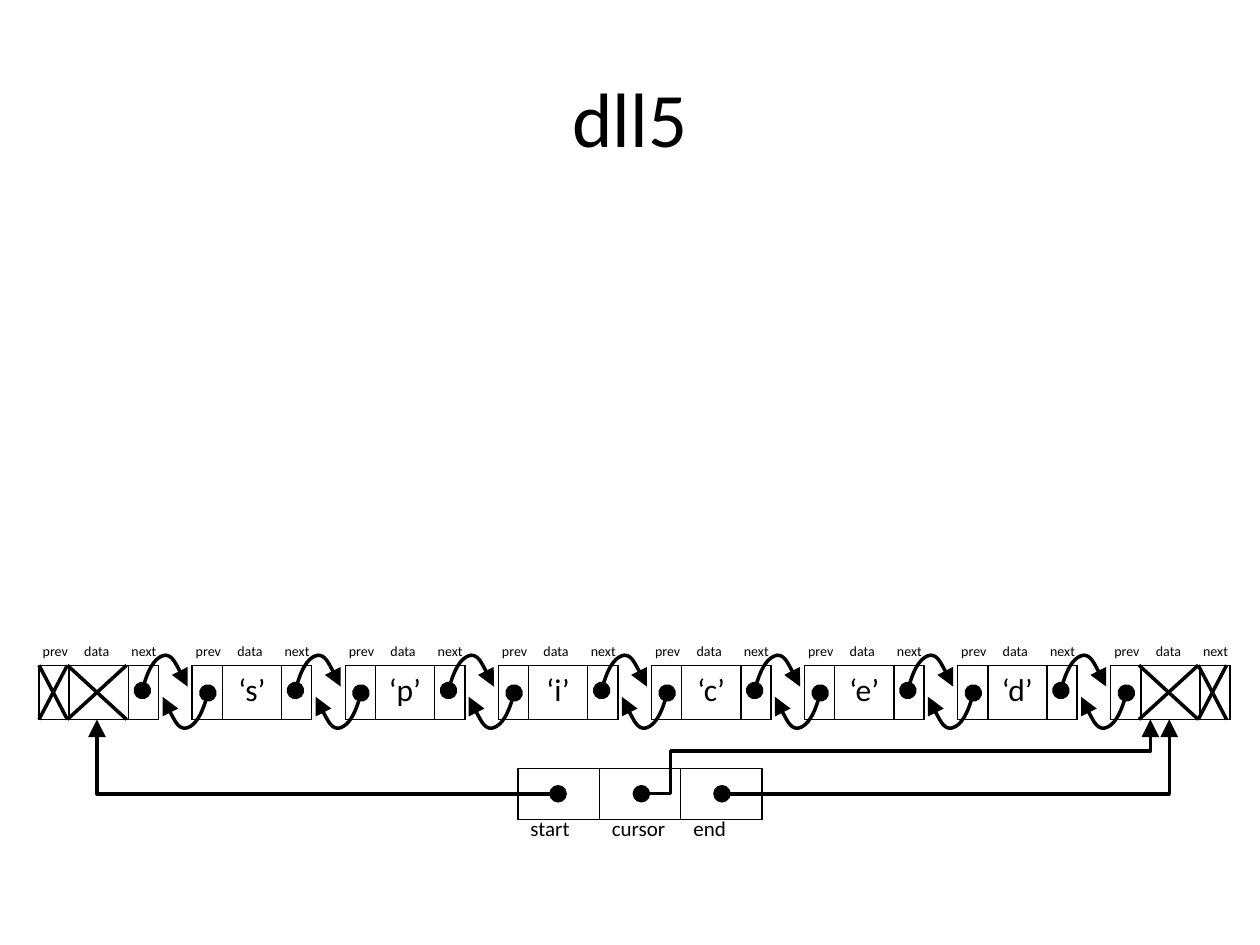
"""Build the dll5 slide: a doubly linked list with sentinels and start, cursor and end links."""
from lxml import etree
from pptx import Presentation
from pptx.dml.color import RGBColor
from pptx.enum.shapes import MSO_CONNECTOR
from pptx.enum.text import MSO_ANCHOR, PP_ALIGN
from pptx.oxml.ns import qn
from pptx.util import Inches, Pt

STRAIGHT, ELBOW = MSO_CONNECTOR.STRAIGHT, MSO_CONNECTOR.ELBOW
LEFT, CENTER = PP_ALIGN.LEFT, PP_ALIGN.CENTER
TOP, MIDDLE = MSO_ANCHOR.TOP, MSO_ANCHOR.MIDDLE
PLAIN_STYLE = "{2D5ABB26-0587-4C30-8999-92F81FD0307C}"

THEME = {
    "font": "Calibri",
    "ink": RGBColor(0, 0, 0),
    "paper": RGBColor(255, 255, 255),
    "title": Pt(44),
    "letter": Pt(18),
    "link": Pt(12),
    "field": Pt(8),
    "stroke": Pt(2),
    "border": Pt(1),
}

UNIT = Inches(0.01)
COLUMNS, ROWS = 1000, 750
NODE_LEFT, NODE_TOP, NODE_HEIGHT, NODE_PITCH = 31, 528, 43, 121.5
NODE_BOTTOM = NODE_TOP + NODE_HEIGHT
FIELD_WIDTHS = [22.5, 47, 22.5]
FIELD_EDGES = [0, 22.5, 69.5, 92]
FIELD_LABELS = {"prev": -7, "data": 26, "next": 63.5}
LETTERS = ["", "‘s’", "‘p’", "‘i’", "‘c’", "‘e’", "‘d’", ""]
NODE_LEFTS = [NODE_LEFT + NODE_PITCH * n for n in range(len(LETTERS))]
LINK_LEFT, LINK_TOP, LINK_HEIGHT, LINK_WIDTHS = 411, 610, 40, [194 / 3] * 3
ARC = [(5, -20), (12, -27), (18, -28), (24, -28), (33, -10), (36, -3)]

deck = Presentation()
deck.slide_width, deck.slide_height = COLUMNS * UNIT, ROWS * UNIT
slide = deck.slides.add_slide(deck.slide_layouts[6])
shapes = slide.shapes


def add_record(left, top, widths, height, words, size, align, boxed):
    frame = shapes.add_table(1, len(widths), *(round(v * UNIT) for v in (left, top, sum(widths), height)))
    record = frame.table
    for name, value in {"first_row": False, "horz_banding": False}.items():
        setattr(record, name, value)
    record._tbl.tblPr[0].text = PLAIN_STYLE
    for column, width in zip(record.columns, widths):
        column.width = round(width * UNIT)
    for cell, word in zip(record.rows[0].cells, words):
        paragraph = cell.text_frame.paragraphs[0]
        paragraph.alignment = align
        paragraph.font.size = size
        if word:
            run = paragraph.add_run()
            run.text = word
            for name, value in {"name": THEME["font"], "size": size}.items():
                setattr(run.font, name, value)
            run.font.color.rgb = THEME["ink"]
        if not boxed:
            cell.fill.background()
            continue
        cell_format = cell._tc.get_or_add_tcPr()
        for side in ("lnL", "lnR", "lnT", "lnB"):
            border = etree.SubElement(cell_format, qn(f"a:{side}"), w=str(THEME["border"]))
            ink = etree.SubElement(border, qn("a:solidFill"))
            etree.SubElement(ink, qn("a:srgbClr"), val=str(THEME["ink"]))
        cell.fill.solid()
        cell.fill.fore_color.rgb = THEME["paper"]


def draw_stroke(stroke, head=None, tail=None):
    stroke.line.color.rgb = THEME["ink"]
    stroke.line.width = THEME["stroke"]
    outline = stroke._element.spPr.find(qn("a:ln"))
    for tag, tip in (("a:headEnd", head), ("a:tailEnd", tail)):
        if tip:
            etree.SubElement(outline, qn(tag), type=tip, w="lg", len="lg")
    etree.SubElement(stroke._element.spPr, qn("a:effectLst"))


add_record(LINK_LEFT, LINK_TOP, LINK_WIDTHS, LINK_HEIGHT, [""] * 3, THEME["letter"], LEFT, True)
captions = [("dll5", 50, 30, 900, 125, THEME["title"], CENTER, MIDDLE, True)]
for node_left, letter in zip(NODE_LEFTS, LETTERS):
    add_record(node_left, NODE_TOP, FIELD_WIDTHS, NODE_HEIGHT, ["", letter, ""], THEME["letter"], CENTER, True)
    for label, offset in FIELD_LABELS.items():
        captions.append((label, node_left + offset, 505, 41, 24, THEME["field"], LEFT, TOP, False))

for words, left, top, width, height, size, align, anchor, wrap in captions:
    caption = shapes.add_textbox(*(round(v * UNIT) for v in (left, top, width, height)))
    for name, value in {"word_wrap": wrap, "vertical_anchor": anchor}.items():
        setattr(caption.text_frame, name, value)
    paragraph = caption.text_frame.paragraphs[0]
    paragraph.alignment = align
    run = paragraph.add_run()
    run.text = words
    for name, value in {"name": THEME["font"], "size": size}.items():
        setattr(run.font, name, value)
    run.font.color.rgb = THEME["ink"]

for node_left in NODE_LEFTS[:-1]:
    for x, y, turn in ((node_left + 82, 548, 1), (node_left + 134, 550, -1)):
        builder = shapes.build_freeform(round(x * UNIT), round(y * UNIT))
        builder.add_line_segments(
            [(round((x + turn * dx) * UNIT), round((y + turn * dy) * UNIT)) for dx, dy in ARC], close=False
        )
        arc = builder.convert_to_shape()
        arc.fill.background()
        segments = list(arc._element.iter(qn("a:lnTo")))
        outline = segments[0].getparent()
        for first in range(0, len(segments), 3):
            curve = etree.SubElement(outline, qn("a:cubicBezTo"))
            for segment in segments[first:first + 3]:
                curve.append(segment[0])
                outline.remove(segment)
        draw_stroke(arc, "oval", "triangle")

for node_left, field in ((NODE_LEFTS[0], 0), (NODE_LEFTS[0], 1), (NODE_LEFTS[-1], 1), (NODE_LEFTS[-1], 2)):
    left, right = (node_left + edge for edge in FIELD_EDGES[field:field + 2])
    for begin, end in ((left, right), (right, left)):
        ends = (begin, NODE_BOTTOM, end, NODE_TOP)
        draw_stroke(shapes.add_connector(STRAIGHT, *(round(v * UNIT) for v in ends)))

add_record(LINK_LEFT, 643, LINK_WIDTHS, LINK_HEIGHT, ["start", "cursor", "end"], THEME["link"], LEFT, False)

LINK_MIDDLE, CURSOR_TURN = 630, 596
for ends, bend, head, tail in (
    ((443, LINK_MIDDLE, 77, NODE_BOTTOM), None, "oval", "triangle"),
    ((573, LINK_MIDDLE, 928, NODE_BOTTOM), None, "oval", "triangle"),
    ((509, LINK_MIDDLE, 904, CURSOR_TURN), 5900, "oval", None),
    ((879, CURSOR_TURN, 913, NODE_BOTTOM), None, None, "triangle"),
):
    link = shapes.add_connector(ELBOW, *(round(v * UNIT) for v in ends))
    geometry = link._element.spPr.find(qn("a:prstGeom"))
    if bend:
        adjustments = geometry.find(qn("a:avLst"))
        etree.SubElement(adjustments, qn("a:gd"), name="adj1", fmla=f"val {bend}")
    else:
        geometry.set("prst", "bentConnector2")
    draw_stroke(link, head, tail)

deck.save("out.pptx")
